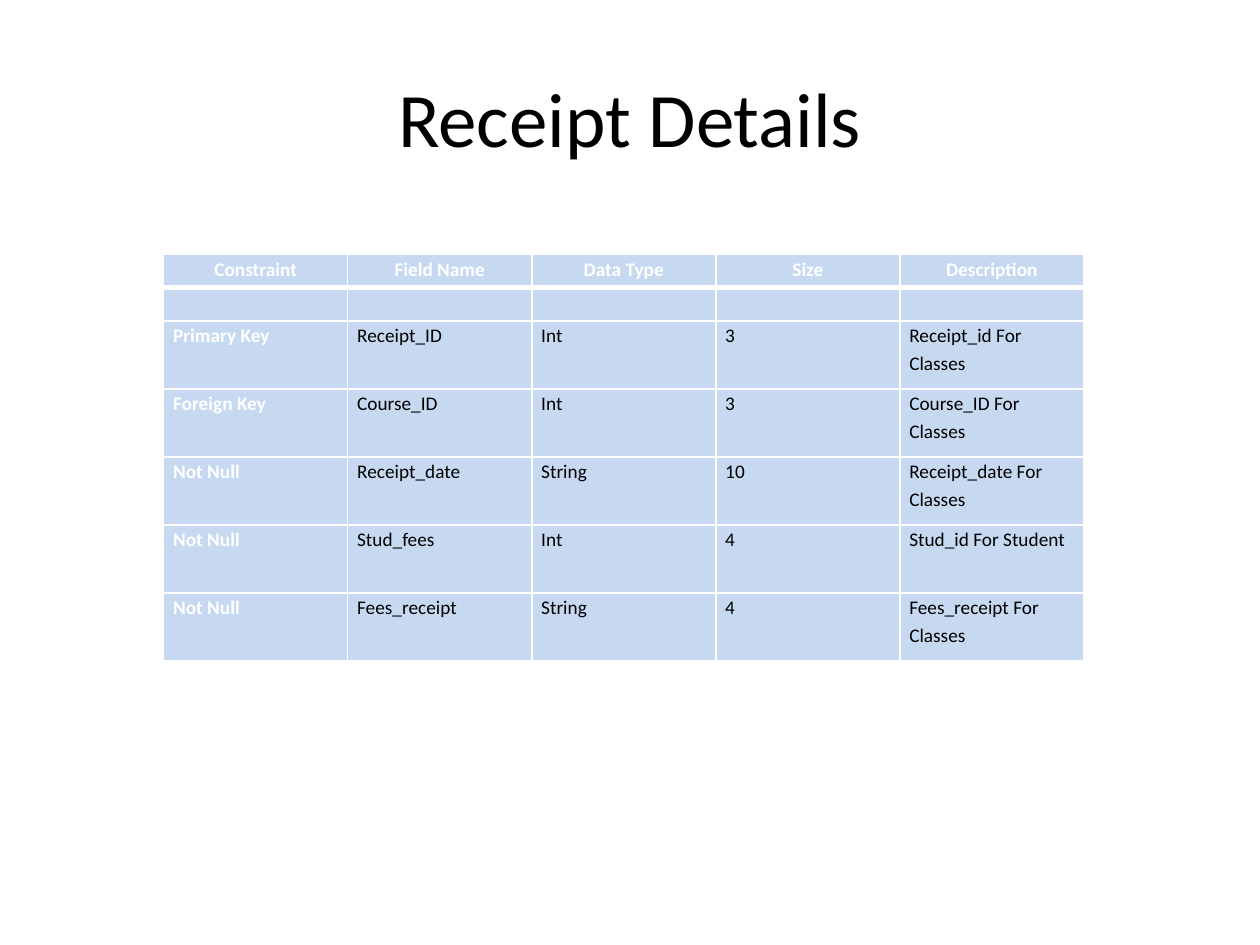
from lxml import etree
from pptx import Presentation
from pptx import util as u
from pptx.dml import color
from pptx.enum import text
from pptx.oxml import ns

HEADERS = ["Constraint", "Field Name", "Data Type", "Size", "Description"]
FIELDS = [
    ["Primary Key", "Receipt_ID", "Int", "3", "Receipt_id For Classes"],
    ["Foreign Key", "Course_ID", "Int", "3", "Course_ID For Classes"],
    ["Not Null", "Receipt_date", "String", "10", "Receipt_date For Classes"],
    ["Not Null", "Stud_fees", "Int", "4", "Stud_id For Student"],
    ["Not Null", "Fees_receipt", "String", "4", "Fees_receipt For Classes"],
]


def rgb(value):
    return color.RGBColor.from_string(value)


class SlideBuilder:
    font = "Calibri"
    black, white, pale_blue = "000000", "FFFFFF", "C6D9F1"
    table_size = 11

    def __init__(self, presentation):
        self.slide = presentation.slides.add_slide(presentation.slide_layouts[5])

    def add_run(self, paragraph, wording, size, colour, bold=False):
        run = paragraph.add_run()
        run.text = wording
        run.font.name, run.font.size, run.font.bold = self.font, u.Pt(size), bold
        run.font.color.rgb = rgb(colour)

    def add_title(self, wording, left, top, width, height):
        title = self.slide.shapes.title
        title.left, title.top = u.Cm(left), u.Cm(top)
        title.width, title.height = u.Cm(width), u.Cm(height)
        title.text_frame.vertical_anchor = text.MSO_ANCHOR.MIDDLE
        paragraph = title.text_frame.paragraphs[0]
        paragraph.alignment = text.PP_ALIGN.CENTER
        self.add_run(paragraph, wording, 44, self.black)

    def add_borders(self, cell, widths):
        properties = cell._tc.get_or_add_tcPr()
        for position, (side, width) in enumerate(widths.items()):
            line = etree.Element(ns.qn(f"a:ln{side}"), w=str(u.Pt(width)))
            fill = etree.SubElement(line, ns.qn("a:solidFill"))
            etree.SubElement(fill, ns.qn("a:srgbClr"), val=self.white)
            properties.insert(position, line)

    def fill_cell(self, cell, wording, is_header, is_key):
        cell.fill.solid()
        cell.fill.fore_color.rgb = rgb(self.pale_blue)
        cell.margin_left = cell.margin_right = u.Cm(0.19)
        cell.margin_top = cell.margin_bottom = 0
        paragraph = cell.text_frame.paragraphs[0]
        paragraph.line_spacing = 1.15
        if is_header:
            paragraph.alignment = text.PP_ALIGN.CENTER
        if wording:
            strong = is_header or is_key
            self.add_run(paragraph, wording, self.table_size,
                         self.white if strong else self.black, strong)
        else:
            # Keeps an empty row as low as a row of text
            etree.SubElement(paragraph._p, ns.qn("a:endParaRPr"),
                             sz=str(self.table_size * 100))

    def add_table(self, rows, left, top, column_width, row_heights):
        columns = len(rows[0])
        frame = self.slide.shapes.add_table(
            len(rows), columns, u.Cm(left), u.Cm(top),
            u.Cm(column_width * columns), u.Cm(sum(row_heights)))
        table = frame.table
        for column in table.columns:
            column.width = u.Cm(column_width)
        for r, (wordings, height) in enumerate(zip(rows, row_heights)):
            table.rows[r].height = u.Cm(height)
            for c, wording in enumerate(wordings):
                cell = table.cell(r, c)
                self.fill_cell(cell, wording, r == 0, c == 0)
                self.add_borders(cell, {"L": 1, "R": 1, "T": 3 if r == 1 else 1,
                                        "B": 3 if r == 0 else 1})


def main():
    presentation = Presentation()
    presentation.slide_width, presentation.slide_height = u.Cm(25.4), u.Cm(19.05)
    builder = SlideBuilder(presentation)

    # Title
    builder.add_title("Receipt Details", 1.27, 0.76, 22.86, 3.18)

    # Field table: header, empty row, then one row per field
    rows = [HEADERS, [""] * len(HEADERS)] + FIELDS
    heights = [0.67] * 2 + [1.37] * len(FIELDS)
    builder.add_table(rows, 3.3, 5.13, 3.71, heights)

    presentation.save("out.pptx")


if __name__ == "__main__":
    main()
